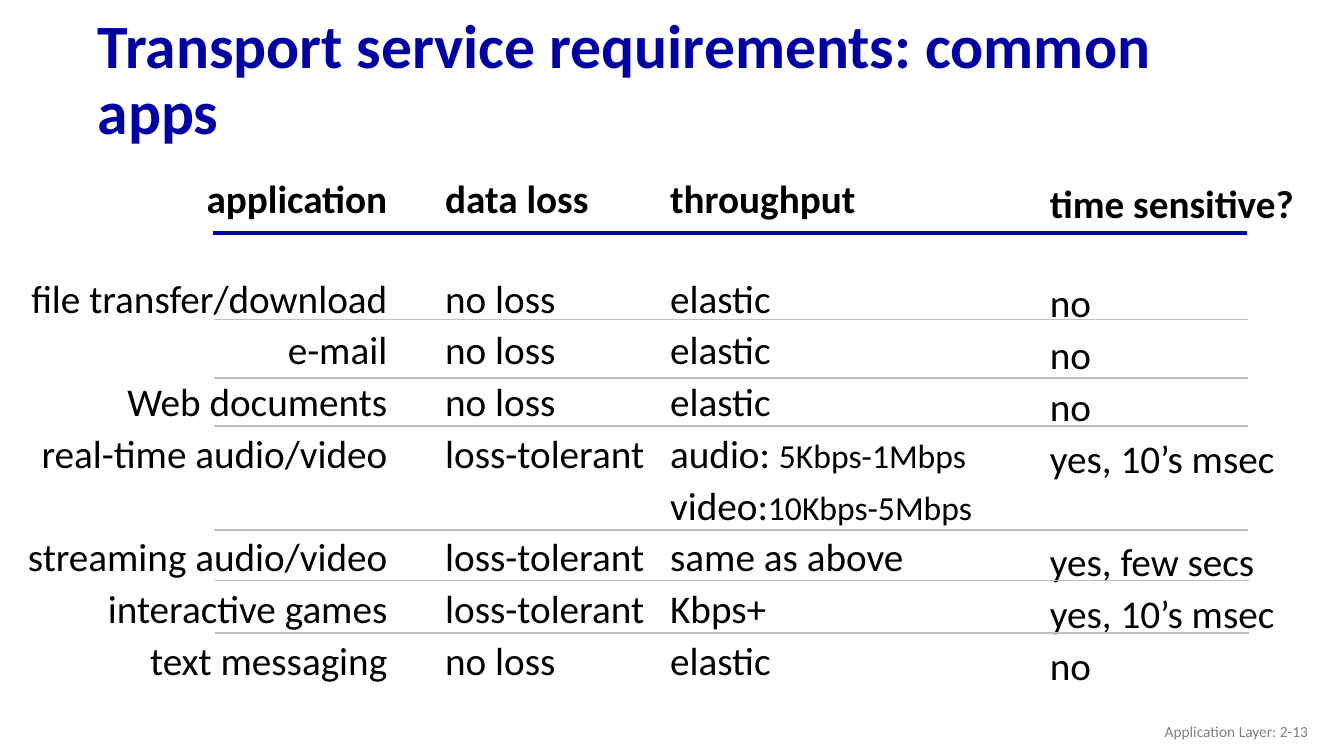
from lxml.etree import SubElement
from pptx import Presentation
from pptx.dml.color import RGBColor
from pptx.enum.shapes import MSO_CONNECTOR
from pptx.enum.text import MSO_ANCHOR, MSO_AUTO_SIZE, PP_ALIGN
from pptx.oxml.ns import qn
from pptx.util import Cm, Pt

HEADS = ["application", "data loss", "throughput", "time sensitive?"]
ROWS = [
    ["file transfer/download", "no loss", "elastic", "no"],
    ["e-mail", "no loss", "elastic", "no"],
    ["Web documents", "no loss", "elastic", "no"],
    ["real-time audio/video", "loss-tolerant",
     "audio: |5Kbps-1Mbps\nvideo:|10Kbps-5Mbps", "yes, 10’s msec"],
    ["streaming audio/video", "loss-tolerant", "same as above", "yes, few secs"],
    ["interactive games", "loss-tolerant", "Kbps+", "yes, 10’s msec"],
    ["text messaging", "no loss", "elastic", "no"],
]
COLS = [
    (0.33, 0, 9.68, PP_ALIGN.RIGHT, False),
    (10.97, 0, 5.59, PP_ALIGN.LEFT, False),
    (16.64, 0, 8.41, PP_ALIGN.LEFT, True),
    (26.21, 0.12, 7.64, PP_ALIGN.LEFT, True),
]
RULES = [(0.03, 3.78), (0.03, 5.26), (0.03, 6.47),
         (0.03, 9.09), (0.05, 10.36), (0.05, 11.68)]
HEAD_GAP = 34.2
LINE_GAP = 36.9


def color(code):
    return RGBColor.from_string(code)


def add_run(para, text, size, code, bold=False):
    run = para.add_run()
    run.text = text
    font = run.font
    font.name = "Calibri"
    font.size = Pt(size)
    font.bold = bold
    font.color.rgb = color(code)


def add_box(slide, left, top, width, height, wrap=True):
    box = slide.shapes.add_textbox(Cm(left), Cm(top), Cm(width), Cm(height))
    frame = box.text_frame
    frame.word_wrap = wrap
    return frame


def add_title(slide, left, top, width, height):
    title = slide.shapes.title
    title.left, title.top = Cm(left), Cm(top)
    title.width, title.height = Cm(width), Cm(height)
    frame = title.text_frame
    frame.auto_size = MSO_AUTO_SIZE.NONE
    frame.vertical_anchor = MSO_ANCHOR.MIDDLE
    para = frame.paragraphs[0]
    para.alignment = PP_ALIGN.LEFT
    para.line_spacing = 0.9
    add_run(para, "Transport service requirements: common apps", 44, "0000A3", True)


def add_column(frame, align, head, cells, spans):
    para = frame.paragraphs[0]
    para.alignment = align
    add_run(para, head, 28, "000000", True)
    gap = HEAD_GAP
    for cell, span in zip(cells, spans):
        lines = cell.split("\n")
        for line in lines:
            para = frame.add_paragraph()
            para.alignment = align
            para.line_spacing = 1.1
            para.space_before = Pt(gap)
            for text, size in zip(line.split("|"), (28, 24)):
                add_run(para, text, size, "000000")
            gap = 0
        gap = (span - len(lines)) * LINE_GAP


def add_rule(slide, left, top, width, code, weight):
    rule = slide.shapes.add_connector(
        MSO_CONNECTOR.STRAIGHT, Cm(left), Cm(top), Cm(left + width), Cm(top))
    rule.line.color.rgb = color(code)
    rule.line.width = Pt(weight)
    SubElement(rule._element.spPr, qn("a:effectLst"))


def add_grid(slide, top, height):
    spans = [max(cell.count("\n") + 1 for cell in row) for row in ROWS]
    for head, cells, col in zip(HEADS, zip(*ROWS), COLS):
        left, drop, width, align, wrap = col
        frame = add_box(slide, left, top + drop, width, height, wrap)
        add_column(frame, align, head, cells, spans)
    left, width = 5.36, 26.06
    add_rule(slide, left, top + 1.6, width, "0000A8", 2.5)
    for shift, drop in RULES:
        add_rule(slide, left + shift, top + drop, width, "BFBFBF", 1.25)


def add_footer(slide, left, top, width, height):
    frame = add_box(slide, left, top, width, height)
    frame.vertical_anchor = MSO_ANCHOR.MIDDLE
    para = frame.paragraphs[0]
    para.alignment = PP_ALIGN.RIGHT
    add_run(para, "Application Layer: 2-13", 11, "808080")


def main():
    deck = Presentation()
    deck.slide_width, deck.slide_height = Cm(33.87), Cm(19.05)
    slide = deck.slides.add_slide(deck.slide_layouts[5])
    add_title(slide, 2.21, 0.81, 29.21, 2.49)
    add_grid(slide, 4.27, 13.11)
    add_footer(slide, 25.6, 17.91, 7.62, 1.02)
    deck.save("out.pptx")


if __name__ == "__main__":
    main()
